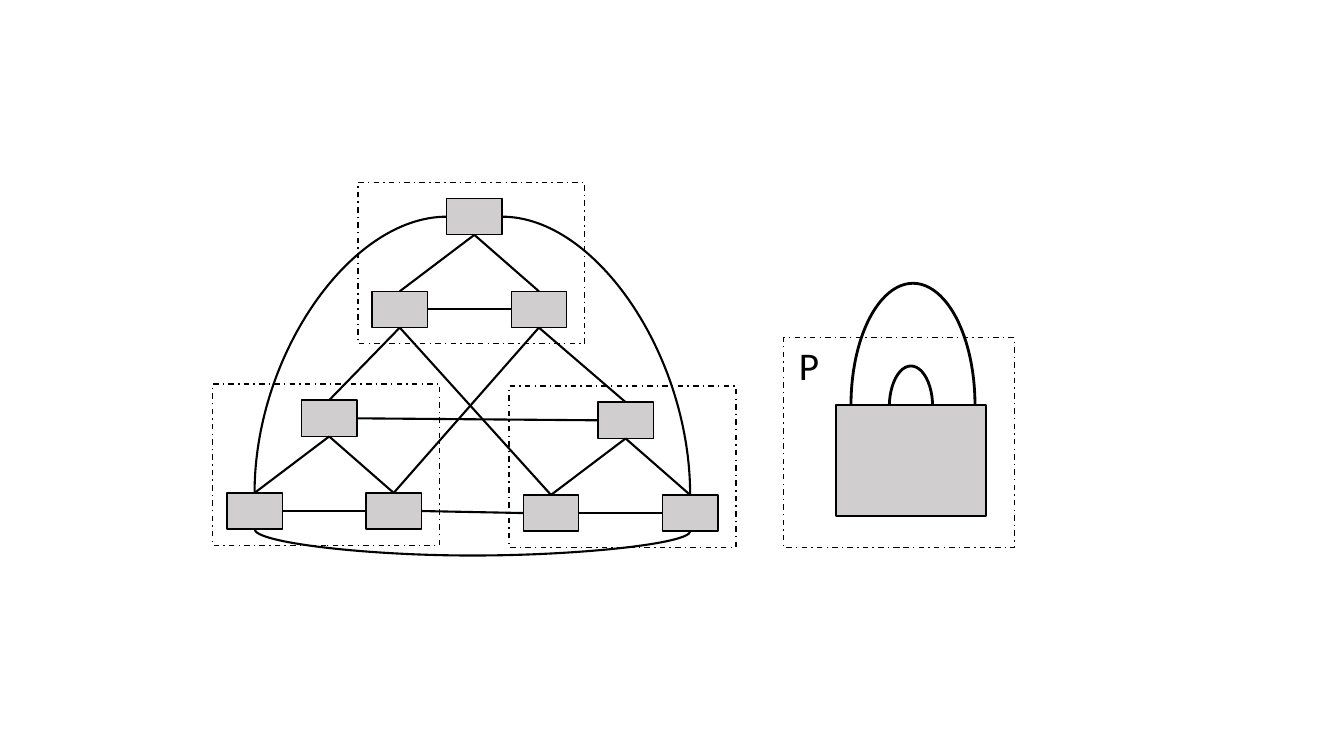
from dataclasses import dataclass

from lxml.etree import SubElement
from pptx import Presentation
from pptx.dml.color import RGBColor
from pptx.enum.dml import MSO_LINE
from pptx.enum.shapes import MSO_CONNECTOR, MSO_SHAPE
from pptx.enum.text import PP_ALIGN
from pptx.oxml.ns import qn
from pptx.util import Inches, Pt


@dataclass(frozen=True)
class Theme:
    ink: RGBColor = RGBColor(0x00, 0x00, 0x00)
    node: RGBColor = RGBColor(0xD0, 0xCE, 0xCE)
    font: str = "Calibri"
    label: Pt = Pt(28)
    outline: Pt = Pt(1)
    link: Pt = Pt(1.5)
    shackle: Pt = Pt(2)


THEME = Theme()
TOP, LEFT, BOTTOM, RIGHT = range(4)
FRAME_SIZE = (2.25, 1.6)
NODE_SIZE = (0.55, 0.36)
NODE_OFFSETS = [(0.88, 0.16), (0.14, 1.08), (1.52, 1.08)]  # root, left, right


def add_outlined(shapes, kind, left, top, width, height,
                 fill=None, weight=THEME.outline, dashed=False):
    shape = shapes.add_shape(kind, Inches(left), Inches(top),
                             Inches(width), Inches(height))
    shape.shadow.inherit = False
    if fill is None:
        shape.fill.background()
    else:
        shape.fill.solid()
        shape.fill.fore_color.rgb = fill
    shape.line.color.rgb = THEME.ink
    shape.line.width = weight
    if dashed:
        shape.line.dash_style = MSO_LINE.DASH_DOT
    return shape


def side_point(node, side):
    middle_x, middle_y = node.left + node.width // 2, node.top + node.height // 2
    return {TOP: (middle_x, node.top),
            LEFT: (node.left, middle_y),
            BOTTOM: (middle_x, node.top + node.height),
            RIGHT: (node.left + node.width, middle_y)}[side]


def link(shapes, start, start_side, end, end_side, kind=MSO_CONNECTOR.STRAIGHT):
    edge = shapes.add_connector(kind, *side_point(start, start_side),
                                *side_point(end, end_side))
    edge.begin_connect(start, start_side)
    edge.end_connect(end, end_side)
    edge.line.color.rgb = THEME.ink
    edge.line.width = THEME.link
    SubElement(edge._element.spPr, qn("a:effectLst"))
    return edge


def link_quarter(shapes, start, start_side, end):
    """Curve that leaves a side horizontally and drops onto the top of a node."""
    edge = link(shapes, start, start_side, end, TOP, MSO_CONNECTOR.CURVE)
    edge._element.spPr.find(qn("a:prstGeom")).set("prst", "curvedConnector2")


def link_below(shapes, start, end, depth):
    """Curve that sags under two nodes, joining their bottom sides."""
    edge = link(shapes, start, BOTTOM, end, BOTTOM, MSO_CONNECTOR.CURVE)
    middle_x = edge.left + edge.width // 2
    middle_y = edge.top + edge.height // 2
    span, drop = edge.width, edge.height
    edge.width, edge.height = drop, span
    edge.left, edge.top = middle_x - drop // 2, middle_y - span // 2
    properties = edge._element.spPr
    frame = properties.find(qn("a:xfrm"))
    frame.set("rot", "16200000")
    frame.set("flipH", "1")
    adjustments = properties.find(qn("a:prstGeom")).get_or_add_avLst()
    bend = round(100000 * Inches(depth) / drop)
    SubElement(adjustments, qn("a:gd"), name="adj1", fmla=f"val {bend}")


def add_cluster(slide, left, top):
    """Dashed frame around a triangle of three linked nodes."""
    add_outlined(slide.shapes, MSO_SHAPE.RECTANGLE, left, top, *FRAME_SIZE, dashed=True)
    triangle = slide.shapes.add_group_shape().shapes
    root, child_left, child_right = nodes = [
        add_outlined(triangle, MSO_SHAPE.RECTANGLE, left + dx, top + dy,
                     *NODE_SIZE, fill=THEME.node)
        for dx, dy in NODE_OFFSETS]
    for child in (child_left, child_right):
        link(triangle, root, BOTTOM, child, TOP)
    link(triangle, child_left, RIGHT, child_right, LEFT)
    return nodes


def add_network(slide, left, top):
    """Three clusters, one above two, and the links between them."""
    shapes = slide.shapes
    apex, apex_left, apex_right = add_cluster(slide, left + 1.44, top)
    west, west_left, west_right = add_cluster(slide, left, top + 2)
    east, east_left, east_right = add_cluster(slide, left + 2.94, top + 2.02)

    # Links from the upper cluster to the lower ones
    for parent, child in [(apex_left, west), (apex_left, east_left),
                          (apex_right, east), (apex_right, west_right)]:
        link(shapes, parent, BOTTOM, child, TOP)

    # Links across the lower clusters
    for start, end in [(west, east), (west_right, east_left)]:
        link(shapes, start, RIGHT, end, LEFT)

    # Outer curves
    link_quarter(shapes, apex, LEFT, west_left)
    link_quarter(shapes, apex, RIGHT, east_right)
    link_below(shapes, west_left, east_right, 0.26)


def add_padlock(slide, left, top, width, height):
    """Dashed frame with a labelled padlock."""
    shapes = slide.shapes
    add_outlined(shapes, MSO_SHAPE.RECTANGLE, left, top, width, height, dashed=True)

    # Shackle, behind the body
    for dx, dy, arc_width, arc_height in [(1.05, 0.28, 0.43, 0.81),
                                          (0.67, -0.54, 1.23, 2.42)]:
        arc = add_outlined(shapes, MSO_SHAPE.ARC, left + dx, top + dy,
                           arc_width, arc_height, weight=THEME.shackle)
        arc.rotation = 180
        arc.adjustments[0], arc.adjustments[1] = 205.45, 112.56

    # Label
    label = shapes.add_textbox(Inches(left - 0.13), Inches(top - 0.01),
                               Inches(0.77), Inches(0.57)).text_frame
    label.word_wrap = True
    letter = label.paragraphs[0]
    letter.text = "P"
    letter.alignment = PP_ALIGN.CENTER
    letter.font.name = THEME.font
    letter.font.size = THEME.label
    letter.font.color.rgb = THEME.ink

    # Body
    add_outlined(shapes, MSO_SHAPE.RECTANGLE, left + 0.52, top + 0.67, 1.49, 1.1,
                 fill=THEME.node)


def main():
    deck = Presentation()
    deck.slide_width, deck.slide_height = Inches(13.33), Inches(7.5)
    slide = deck.slides.add_slide(deck.slide_layouts[6])
    add_network(slide, 2.11, 1.81)
    add_padlock(slide, 7.77, 3.35, 2.29, 2.08)
    deck.save("out.pptx")


if __name__ == "__main__":
    main()
